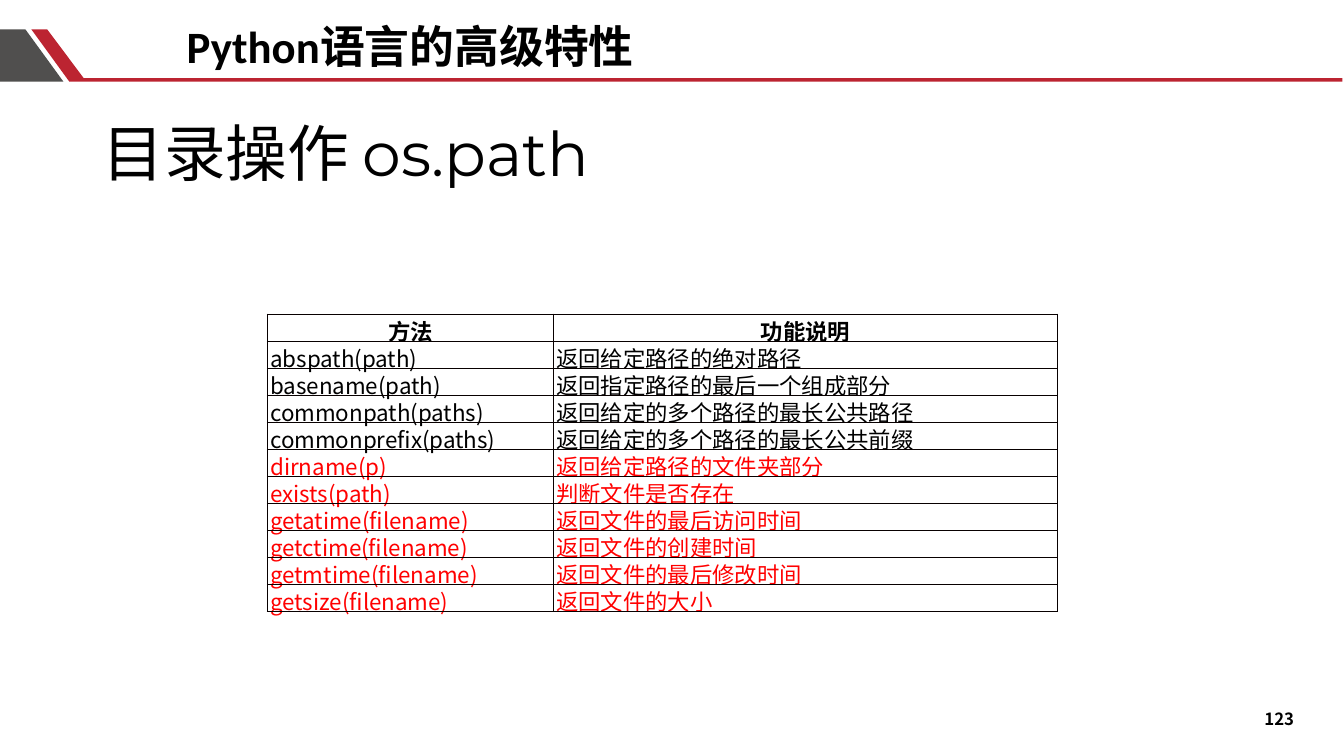
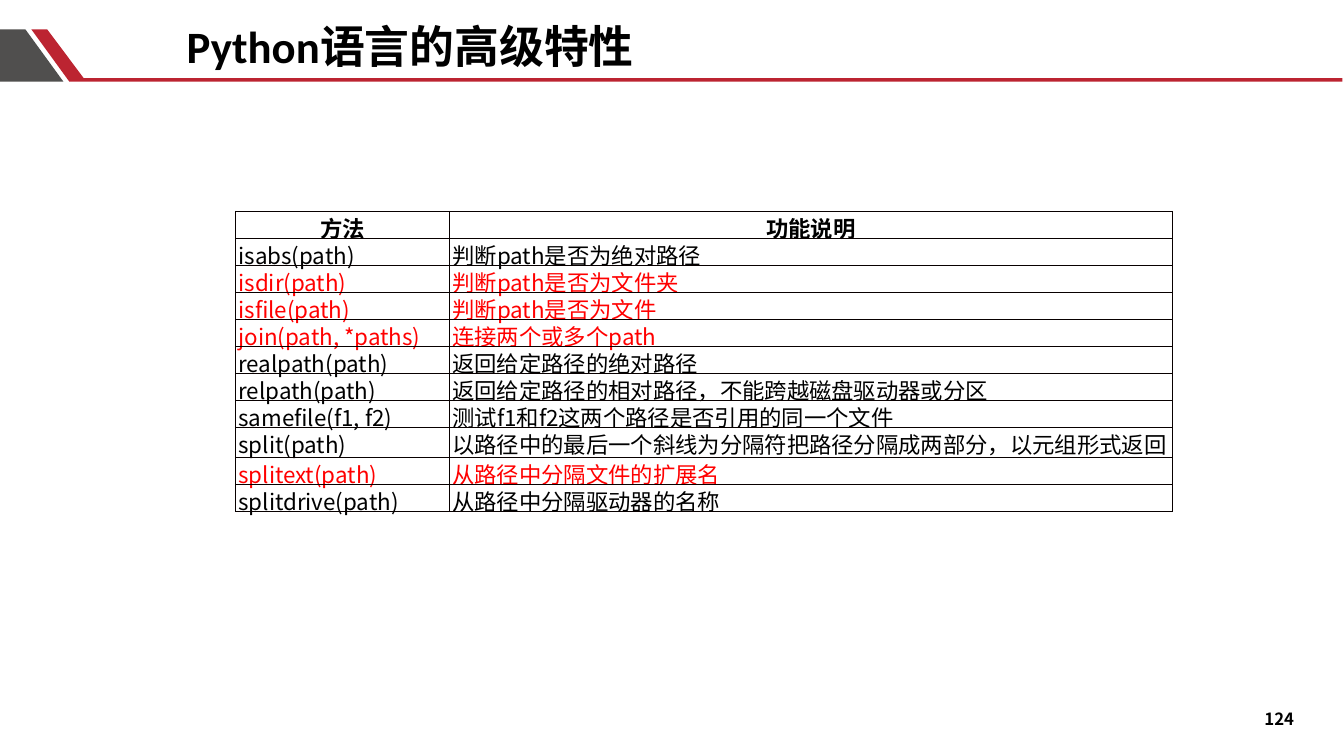
from lxml import etree
from pptx import Presentation
from pptx.dml.color import RGBColor
from pptx.enum.text import MSO_ANCHOR, MSO_AUTO_SIZE, PP_ALIGN
from pptx.oxml.ns import qn
from pptx.util import Cm, Pt

LEFT, CENTER = PP_ALIGN.LEFT, PP_ALIGN.CENTER
TOP, MIDDLE = MSO_ANCHOR.TOP, MSO_ANCHOR.MIDDLE
NO_AUTOFIT = MSO_AUTO_SIZE.NONE

BLACK, RED, BORDER = "000000", "FF0000", "080000"
CJK_FONT = "Noto Sans CJK SC"
TITLE = "Python语言的高级特性"
TITLE_FORMAT = {"name": "Calibri", "size": Pt(32), "bold": True}
HEADING_FORMAT = {"name": "Montserrat", "size": Pt(44), "bold": False}
NUMBER_FORMAT = {"name": CJK_FONT, "size": Pt(12), "bold": True}
HEAD_FORMAT = {"name": CJK_FONT, "size": Pt(16), "bold": True}
CELL_FORMAT = {**HEAD_FORMAT, "bold": False}

TITLE_BOX = (4.45, 0.46, 15.77, 1.4)
HEADING_BOX = (2.33, 2.98, 21.89, 3.68)
NUMBER_BOX = (31.34, 17.73, 1.8, 0.76)
ROW_HEIGHT = 0.68
# Lets the rows stay lower than a line of text
CELL_BOTTOM = -0.15

# Band outlines in centimetres
BANDS = [
    ("BC2431", [(2.18, 2.06), (1.75, 2.06), (0.79, 0.74), (1.19, 0.74),
                (2.11, 1.97), (33.83, 1.97), (33.83, 2.06)]),
    ("504F4E", [(0, 0.74), (0.64, 0.74), (1.6, 2.06), (0, 2.06)]),
]

TABLE_HEAD = ("方法", "功能说明")
PAGES = [
    {
        "number": 123,
        "heading": "目录操作 os.path",
        "position": (6.74, 7.92),
        "columns": (7.21, 12.7),
        "tall_rows": {},
        "red": {"dirname(p)", "exists(path)", "getatime(filename)",
                "getctime(filename)", "getmtime(filename)",
                "getsize(filename)"},
        "rows": [
            ("abspath(path)", "返回给定路径的绝对路径"),
            ("basename(path)", "返回指定路径的最后一个组成部分"),
            ("commonpath(paths)", "返回给定的多个路径的最长公共路径"),
            ("commonprefix(paths)", "返回给定的多个路径的最长公共前缀"),
            ("dirname(p)", "返回给定路径的文件夹部分"),
            ("exists(path)", "判断文件是否存在"),
            ("getatime(filename)", "返回文件的最后访问时间"),
            ("getctime(filename)", "返回文件的创建时间"),
            ("getmtime(filename)", "返回文件的最后修改时间"),
            ("getsize(filename)", "返回文件的大小"),
        ],
    },
    {
        "number": 124,
        "heading": None,
        "position": (5.94, 5.33),
        "columns": (5.39, 18.21),
        "tall_rows": {"split(path)": 0.76},
        "red": {"isdir(path)", "isfile(path)", "join(path, *paths)",
                "splitext(path)"},
        "rows": [
            ("isabs(path)", "判断path是否为绝对路径"),
            ("isdir(path)", "判断path是否为文件夹"),
            ("isfile(path)", "判断path是否为文件"),
            ("join(path, *paths)", "连接两个或多个path"),
            ("realpath(path)", "返回给定路径的绝对路径"),
            ("relpath(path)", "返回给定路径的相对路径，不能跨越磁盘驱动器或分区"),
            ("samefile(f1, f2)", "测试f1和f2这两个路径是否引用的同一个文件"),
            ("split(path)", "以路径中的最后一个斜线为分隔符把路径分隔成两部分，以元组形式返回"),
            ("splitext(path)", "从路径中分隔文件的扩展名"),
            ("splitdrive(path)", "从路径中分隔驱动器的名称"),
        ],
    },
]


def color(value):
    return RGBColor.from_string(value)


def write(frame, text, style, align=LEFT, ink=BLACK):
    para = frame.paragraphs[0]
    para.alignment = align
    span = para.add_run()
    span.text = text
    for name, value in style.items():
        setattr(span.font, name, value)
    span.font.color.rgb = color(ink)
    return para


def place(shape, box, anchor):
    for name, value in zip(("left", "top", "width", "height"), box):
        setattr(shape, name, Cm(value))
    frame = shape.text_frame
    frame.word_wrap = True
    frame.auto_size = NO_AUTOFIT
    frame.vertical_anchor = anchor
    return frame


def add_bands(slide, master):
    """Draw the bands and move them to the master, behind its placeholders."""
    for index, (fill, points) in enumerate(BANDS):
        start, *others = [(Cm(x), Cm(y)) for x, y in points]
        builder = slide.shapes.build_freeform(*start)
        builder.add_line_segments(others, close=True)
        band = builder.convert_to_shape()
        band.shadow.inherit = False
        band.fill.solid()
        band.fill.fore_color.rgb = color(fill)
        band.line.fill.background()
        band.element.nvSpPr.cNvPr.set("id", str(100 + index))
        master.shapes.element.insert(2 + index, band.element)


def add_heading(slide, text):
    frame = place(slide.placeholders[1], HEADING_BOX, TOP)
    properties = frame.paragraphs[0]._p.get_or_add_pPr()
    properties.set("marL", "0")
    properties.set("indent", "0")
    etree.SubElement(properties, qn("a:buNone"))
    para = write(frame, text, HEADING_FORMAT)
    para.line_spacing = 0.9
    para.space_before = Pt(0)


def set_borders(cell):
    properties = cell._tc.get_or_add_tcPr()
    for index, edge in enumerate(("a:lnL", "a:lnR", "a:lnT", "a:lnB")):
        line = etree.Element(qn(edge), w=str(Pt(1)))
        fill = etree.SubElement(line, qn("a:solidFill"))
        etree.SubElement(fill, qn("a:srgbClr"), val=BORDER)
        properties.insert(index, line)


def add_method_table(slide, page):
    rows = [TABLE_HEAD, *page["rows"]]
    heights = [page["tall_rows"].get(row[0], ROW_HEIGHT) for row in rows]
    size = (sum(page["columns"]), sum(heights))
    table = slide.shapes.add_table(
        len(rows), len(TABLE_HEAD), *map(Cm, page["position"] + size)).table
    table.first_row = table.horz_banding = False
    for column, width in zip(table.columns, page["columns"]):
        column.width = Cm(width)
    for r, (row, height) in enumerate(zip(rows, heights)):
        table.rows[r].height = Cm(height)
        ink = RED if row[0] in page["red"] else BLACK
        for c, text in enumerate(row):
            cell = table.cell(r, c)
            cell.margin_top = cell.margin_right = 0
            cell.margin_bottom = Cm(CELL_BOTTOM)
            cell.margin_left = Cm(0.07 if r else 0)
            cell.fill.background()
            set_borders(cell)
            style, align = (CELL_FORMAT, LEFT) if r else (HEAD_FORMAT, CENTER)
            write(cell.text_frame, text, style, align, ink)


def main():
    deck = Presentation()
    deck.slide_width, deck.slide_height = Cm(33.87), Cm(19.05)
    content_layout, title_layout = deck.slide_layouts[1], deck.slide_layouts[5]
    for page in PAGES:
        layout = content_layout if page["heading"] else title_layout
        slide = deck.slides.add_slide(layout)
        write(place(slide.shapes.title, TITLE_BOX, MIDDLE), TITLE, TITLE_FORMAT)
        if page["heading"]:
            add_heading(slide, page["heading"])
        add_method_table(slide, page)
        number = slide.shapes.add_textbox(*map(Cm, NUMBER_BOX))
        write(place(number, NUMBER_BOX, TOP), str(page["number"]),
              NUMBER_FORMAT, CENTER)
    add_bands(deck.slides[0], deck.slide_master)
    deck.save("out.pptx")


if __name__ == "__main__":
    main()
